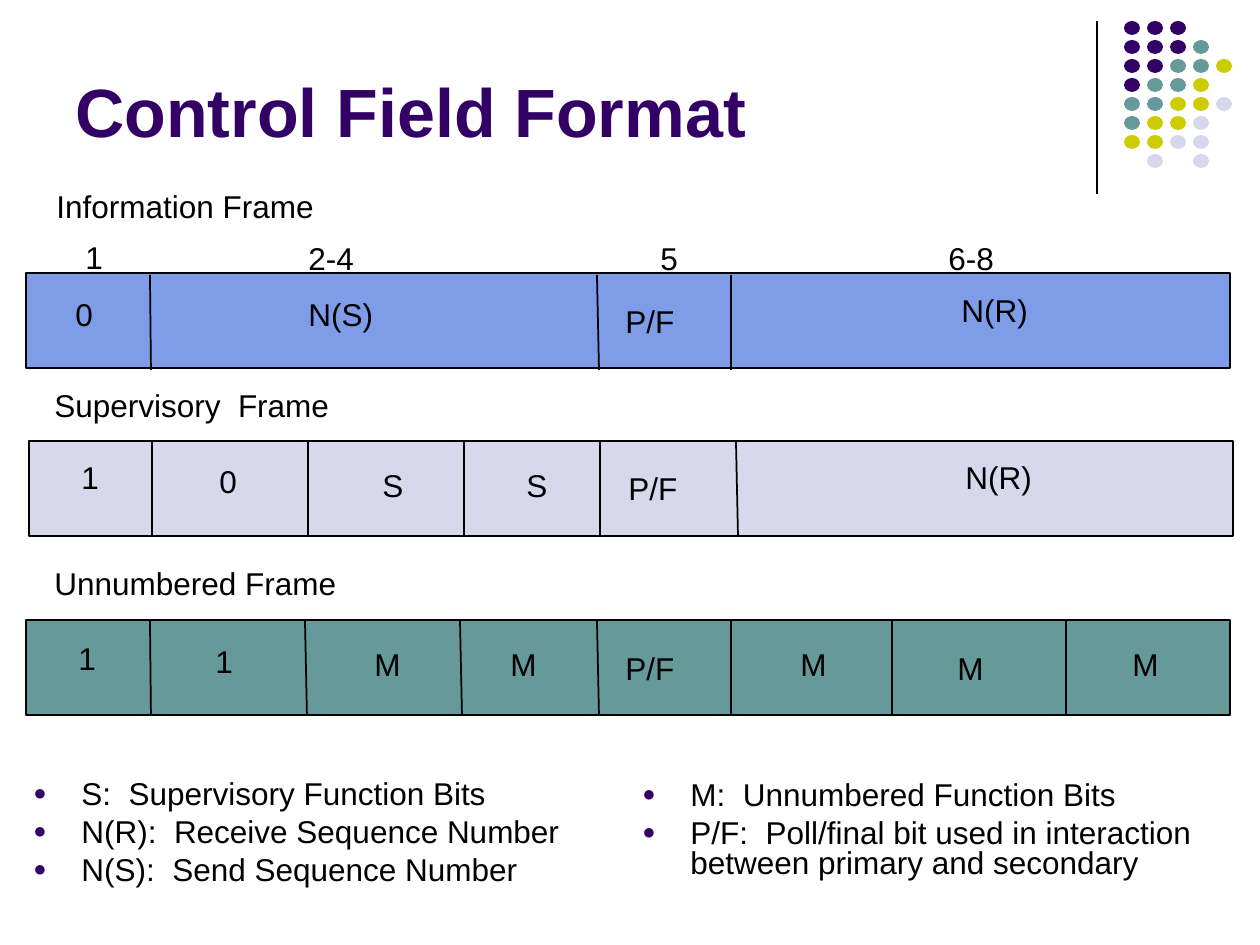
from pptx import Presentation
from pptx.dml.color import RGBColor
from pptx.enum.shapes import MSO_CONNECTOR, MSO_SHAPE
from pptx.enum.text import MSO_ANCHOR, MSO_AUTO_SIZE
from pptx.oxml.ns import qn
from pptx.util import Pt
from lxml.etree import SubElement

SCALE = 914400 / 126
BLACK, PURPLE, TEAL, LIME, LILAC, BLUE = (
    "000000", "330066", "669999", "CCCC00", "D8D8EC", "7E9CE8")
DOT_COLORS = {"P": PURPLE, "T": TEAL, "L": LIME, "V": LILAC}
DOT_ROWS = ["PPP", "PPPT", "PPTTL", "PTTL", "TTLLV", "TLLV", "LLVV", " V V"]
FRAME_WIDTH, FRAME_HEIGHT = 1204, 95

LABEL_WIDTHS = {
    "0": 44, "1": 44, "5": 44, "S": 48, "M": 53, "2-4": 72, "6-8": 72,
    "P/F": 75, "N(S)": 91, "N(R)": 93, "Information Frame": 284,
    "Supervisory  Frame": 302, "Unnumbered Frame": 309}

# Each frame: left, top, fill, divider drop, dividers (top x, bottom x), labels (text, left, top)
FRAMES = [
    (26, 273, BLUE, 2,
     [(150, 151), (597, 599), (731, 731)],
     [("Information Frame", 44, 181),
      ("1", 73, 232), ("2-4", 296, 233), ("5", 648, 233), ("6-8", 936, 233),
      ("0", 63, 289), ("N(S)", 296, 289), ("P/F", 613, 296), ("N(R)", 949, 285)]),
    (29, 441, LILAC, 0,
     [(152, 152), (308, 308), (464, 464), (600, 600), (736, 738)],
     [("Supervisory  Frame", 42, 380),
      ("1", 69, 452), ("0", 207, 456), ("S", 370, 460), ("S", 514, 460),
      ("P/F", 616, 463), ("N(R)", 953, 452)]),
    (26, 620, TEAL, 1,
     [(150, 151), (305, 307), (460, 462), (597, 599),
      (731, 731), (892, 892), (1066, 1066)],
     [("Unnumbered Frame", 42, 558),
      ("1", 66, 633), ("1", 203, 636), ("M", 362, 639), ("M", 498, 639),
      ("P/F", 613, 643), ("M", 788, 639), ("M", 945, 643), ("M", 1120, 639)]),
]


def px(length):
    return round(length * SCALE)


def color(hex_text):
    return RGBColor.from_string(hex_text)


def set_font(para, size, hex_text=BLACK, bold=False):
    font = para.font
    font.name, font.size, font.bold = "Arial", Pt(size), bold
    font.color.rgb = color(hex_text)


def add_shape(page, kind, left, top, width, height, fill, line=None):
    shape = page.shapes.add_shape(kind, px(left), px(top), px(width), px(height))
    shape.shadow.inherit = False
    shape.fill.solid()
    shape.fill.fore_color.rgb = color(fill)
    if line:
        shape.line.color.rgb = color(line)
        shape.line.width = Pt(1)
    else:
        shape.line.fill.background()


def add_line(page, x1, y1, x2, y2, width=1.0):
    line = page.shapes.add_connector(
        MSO_CONNECTOR.STRAIGHT, px(x1), px(y1), px(x2), px(y2))
    line.line.color.rgb = color(BLACK)
    line.line.width = Pt(width)
    SubElement(line._element.spPr, qn("a:effectLst"))


def add_textbox(page, left, top, width, height, wrap=True):
    box = page.shapes.add_textbox(px(left), px(top), px(width), px(height))
    box.text_frame.word_wrap = wrap
    return box.text_frame


def add_title(page, text, left, top, width, height):
    frame = add_textbox(page, left, top, width, height)
    frame.vertical_anchor = MSO_ANCHOR.BOTTOM
    frame.text = text
    set_font(frame.paragraphs[0], 39, PURPLE, bold=True)


def add_label(page, text, left, top):
    """Add one line of text in a box that grows to hold it."""
    frame = add_textbox(page, left, top, LABEL_WIDTHS[text], 50, wrap=False)
    frame.auto_size = MSO_AUTO_SIZE.SHAPE_TO_FIT_TEXT
    frame.text = text
    set_font(frame.paragraphs[0], 18)


def add_bullet(para):
    props = para._p.get_or_add_pPr()
    props.set("marL", str(px(48)))
    props.set("indent", str(-px(48)))
    SubElement(SubElement(props, qn("a:buClr")), qn("a:srgbClr"), val=PURPLE)
    SubElement(props, qn("a:buSzPct"), val="70000")
    SubElement(props, qn("a:buFont"), typeface="Arial")
    SubElement(props, qn("a:buChar"), char="●")


def add_bullet_list(page, items, left, top, width, height):
    frame = add_textbox(page, left, top, width, height)
    for index, item in enumerate(items):
        para = frame.add_paragraph() if index else frame.paragraphs[0]
        para.text = item
        add_bullet(para)
        para.line_spacing = 0.8
        if index:
            para.space_before = Pt(4.5)
        set_font(para, 18)


def add_dots(page):
    for row, codes in enumerate(DOT_ROWS):
        for column, code in enumerate(codes):
            if code in DOT_COLORS:
                add_shape(page, MSO_SHAPE.OVAL, 1124 + 23 * column, 21 + 19 * row,
                          16, 14, DOT_COLORS[code])


def add_frame(page, left, top, fill, drop, dividers, labels):
    add_shape(page, MSO_SHAPE.RECTANGLE, left, top, FRAME_WIDTH, FRAME_HEIGHT,
              fill, BLACK)
    for top_x, bottom_x in dividers:
        add_line(page, top_x, top + drop, bottom_x, top + drop + FRAME_HEIGHT)
    for label in labels:
        add_label(page, *label)


def main():
    deck = Presentation()
    deck.slide_width, deck.slide_height = px(1260), px(945)
    page = deck.slides.add_slide(deck.slide_layouts[6])
    add_line(page, 1097, 21, 1097, 194, 0.75)
    add_dots(page)
    add_title(page, "Control Field Format", 63, 16, 1040, 141)
    for frame in FRAMES:
        add_frame(page, *frame)
    add_bullet_list(page, ["S:  Supervisory Function Bits",
                           "N(R):  Receive Sequence Number",
                           "N(S):  Send Sequence Number"], 21, 775, 609, 136)
    add_bullet_list(page, ["M:  Unnumbered Function Bits",
                           "P/F:  Poll/final bit used in interaction between "
                           "primary and secondary"], 630, 776, 588, 120)
    deck.save("out.pptx")


if __name__ == "__main__":
    main()
